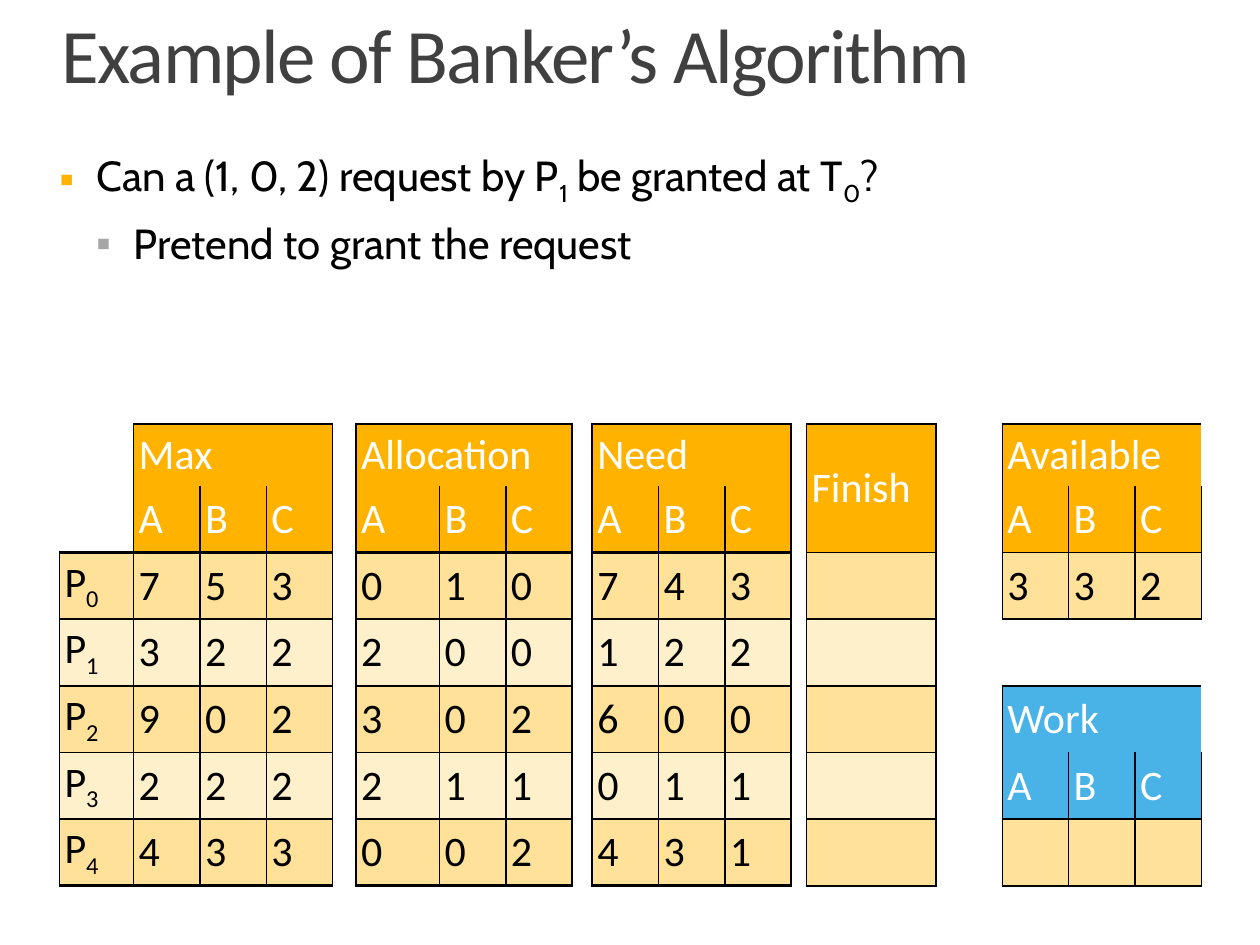
"""Build a slide showing the state tables of the Banker's Algorithm."""
import collections

import lxml.etree
import pptx
import pptx.dml.color
import pptx.enum.text
import pptx.oxml.ns
import pptx.util

Pt = pptx.util.Pt
qn = pptx.oxml.ns.qn
COLORS = {"title": "404040", "text": "000000", "header": "FFB300", "work": "49B3E8",
          "on_header": "FFFFFF", "band_dark": "FFE199", "band_light": "FFF0CC",
          "sub_bullet": "A6A6A6"}
NO_STYLE = "{2D5ABB26-0587-4C30-8999-92F81FD0307C}"
THIN, HEAVY = 1, 2.25
NARROW = 37.9
COL_WIDTHS = ([42.4] + [NARROW] * 3 + [13.4, 47.7] + [NARROW] * 2 + [11.5]
              + [NARROW] * 3 + [8.8, 74] + [NARROW] * 4)
ROW_HEIGHTS = [35.4] + [38.1] * 6
MIRROR = {"L": (0, -1, "R"), "R": (0, 1, "L"), "T": (-1, 0, "B"), "B": (1, 0, "T")}


def rgb(name):
    """Return the named colour."""
    return pptx.dml.color.RGBColor.from_string(COLORS[name])


def add_xml(parent, tag, **attributes):
    """Append a drawing element and return it."""
    return lxml.etree.SubElement(parent, qn(tag), attributes)


def write(p, text, font, size, color):
    """Fill a paragraph; every second part between ~ marks is a subscript."""
    p.font.name, p.font.size = font, Pt(size)
    p.font.color.rgb = rgb(color)
    for i, part in enumerate(text.split("~")):
        if part:
            r = p.add_run()
            r.text = part
            if i % 2:
                r.font._element.set("baseline", "-25000")


def add_text_box(slide, left, top, width, height, inset_top=0):
    """Add a wrapping text box and return its frame."""
    tf = slide.shapes.add_textbox(Pt(left), Pt(top), Pt(width), Pt(height)).text_frame
    tf.word_wrap = True
    tf.margin_left = tf.margin_right = tf.margin_bottom = 0
    tf.margin_top = Pt(inset_top)
    return tf


def add_title(slide, text):
    """Add the slide title."""
    tf = add_text_box(slide, 0, 0, 720, 56.2, 2.9)
    tf.vertical_anchor = pptx.enum.text.MSO_ANCHOR.BOTTOM
    p = tf.paragraphs[0]
    p.line_spacing = 0.8
    p._p.get_or_add_pPr().set("marL", str(Pt(35.3)))
    write(p, text, "Calibri", 44, "title")
    p.font._element.set("spc", "-100")


def write_bullet(p, text, level, margin, hang, space, color):
    """Fill a paragraph with a square bullet."""
    p.level, p.space_before = level, Pt(space)
    pPr = p._p.get_or_add_pPr()
    pPr.set("marL", str(Pt(margin)))
    pPr.set("indent", str(-Pt(hang)))
    add_xml(add_xml(pPr, "a:buClr"), "a:srgbClr", val=COLORS[color])
    add_xml(pPr, "a:buFont", typeface="Arial")
    add_xml(pPr, "a:buChar", char="▪")
    write(p, text, "Cabin", 24, "text")


def add_grid(slide):
    """Add the bare table that holds all blocks."""
    frame = slide.shapes.add_table(len(ROW_HEIGHTS), len(COL_WIDTHS), Pt(34), Pt(242.2),
                                   Pt(sum(COL_WIDTHS)), Pt(sum(ROW_HEIGHTS)))
    table = frame.table
    table.first_row = table.horz_banding = False
    table._tbl.tblPr.find(qn("a:tableStyleId")).text = NO_STYLE
    for column, width in zip(table.columns, COL_WIDTHS):
        column.width = Pt(width)
    for row, height in zip(table.rows, ROW_HEIGHTS):
        row.height = Pt(height)
    for cell in table.iter_cells():
        cell.margin_left = cell.margin_right = cell.margin_top = cell.margin_bottom = 0
    return table


def fill_cell(table, row, col, text, fill, color):
    """Set the fill and text of one cell."""
    cell = table.cell(row, col)
    cell.fill.solid()
    cell.fill.fore_color.rgb = rgb(fill)
    cell.vertical_anchor = pptx.enum.text.MSO_ANCHOR.MIDDLE
    cell.margin_left = cell.margin_right = Pt(2.9)
    cell.margin_top = cell.margin_bottom = Pt(2.6)
    if text:
        write(cell.text_frame.paragraphs[0], text, "Calibri", 24, color)


def mark(borders, row, col, **sides):
    """Record borders of a cell and the matching ones of its neighbours."""
    for side, width in sides.items():
        down, across, opposite = MIRROR[side]
        borders[row, col][side] = width
        borders[row + down, col + across][opposite] = width


def add_header(table, borders, row, col, title, letters, fill, edge):
    """Add a two-row header: a merged title above column letters."""
    last = col + max(len(letters), 1) - 1
    fill_cell(table, row, col, title, fill, "on_header")
    table.cell(row, col).merge(table.cell(row if letters else row + 1, last))
    for c in range(col, last + 1):
        mark(borders, row, c, T=THIN)
        mark(borders, row + 1, c, L=THIN, R=THIN, B=edge)
    mark(borders, row, col, L=THIN)
    mark(borders, row, last, R=THIN)
    for c, letter in enumerate(letters, col):
        fill_cell(table, row + 1, c, letter, fill, "on_header")


def add_body(table, borders, row, col, lines, edge):
    """Add banded value rows, with the given width at top and bottom."""
    for r, line in enumerate(lines, row):
        for c, value in enumerate(line, col):
            fill_cell(table, r, c, value, "band_light" if r % 2 else "band_dark", "text")
            mark(borders, r, c, L=THIN, R=THIN, B=THIN)
            if r == row:
                mark(borders, r, c, T=edge)
            if r == row + len(lines) - 1:
                mark(borders, r, c, B=edge)


def draw_borders(table, borders):
    """Write the recorded borders into the cells and clear all other sides."""
    for r in range(len(ROW_HEIGHTS)):
        for c in range(len(COL_WIDTHS)):
            tcPr = table.cell(r, c)._tc.get_or_add_tcPr()
            for i, side in enumerate("LRTB"):
                width = borders[r, c].get(side)
                ln = add_xml(tcPr, "a:ln" + side, w=str(Pt(width or 0)))
                if width:
                    add_xml(add_xml(ln, "a:solidFill"), "a:srgbClr", val=COLORS["text"])
                else:
                    add_xml(ln, "a:noFill")
                tcPr.insert(i, ln)


def main():
    """Build and save the slide."""
    prs = pptx.Presentation()
    prs.slide_width, prs.slide_height = Pt(720), Pt(540)
    slide = prs.slides.add_slide(prs.slide_layouts[6])
    add_title(slide, "Example of Banker’s Algorithm")

    table = add_grid(slide)
    borders = collections.defaultdict(dict)
    add_body(table, borders, 2, 0, [[f"P~{i}~"] for i in range(5)], HEAVY)
    blocks = [
        (0, 1, "Max", "ABC", ["753", "322", "902", "222", "433"], "header", HEAVY),
        (0, 5, "Allocation", "ABC", ["010", "200", "302", "211", "002"], "header", HEAVY),
        (0, 9, "Need", "ABC", ["743", "122", "600", "011", "431"], "header", HEAVY),
        (0, 13, "Finish", "", [[""]] * 5, "header", THIN),
        (0, 15, "Available", "ABC", ["332"], "header", THIN),
        (4, 15, "Work", "ABC", [[""] * 3], "work", THIN),
    ]
    for row, col, title, letters, lines, fill, edge in blocks:
        add_header(table, borders, row, col, title, letters, fill, edge)
        add_body(table, borders, row + 2, col, lines, edge)
    draw_borders(table, borders)

    tf = add_text_box(slide, 34, 85.7, 652, 198.7)
    write_bullet(tf.paragraphs[0], "Can a (1, 0, 2) request by P~1~ be granted at T~0~?",
                 0, 21, 21, 18, "header")
    write_bullet(tf.add_paragraph(), "Pretend to grant the request",
                 1, 42.5, 21.5, 6, "sub_bullet")
    prs.save("out.pptx")


if __name__ == "__main__":
    main()
